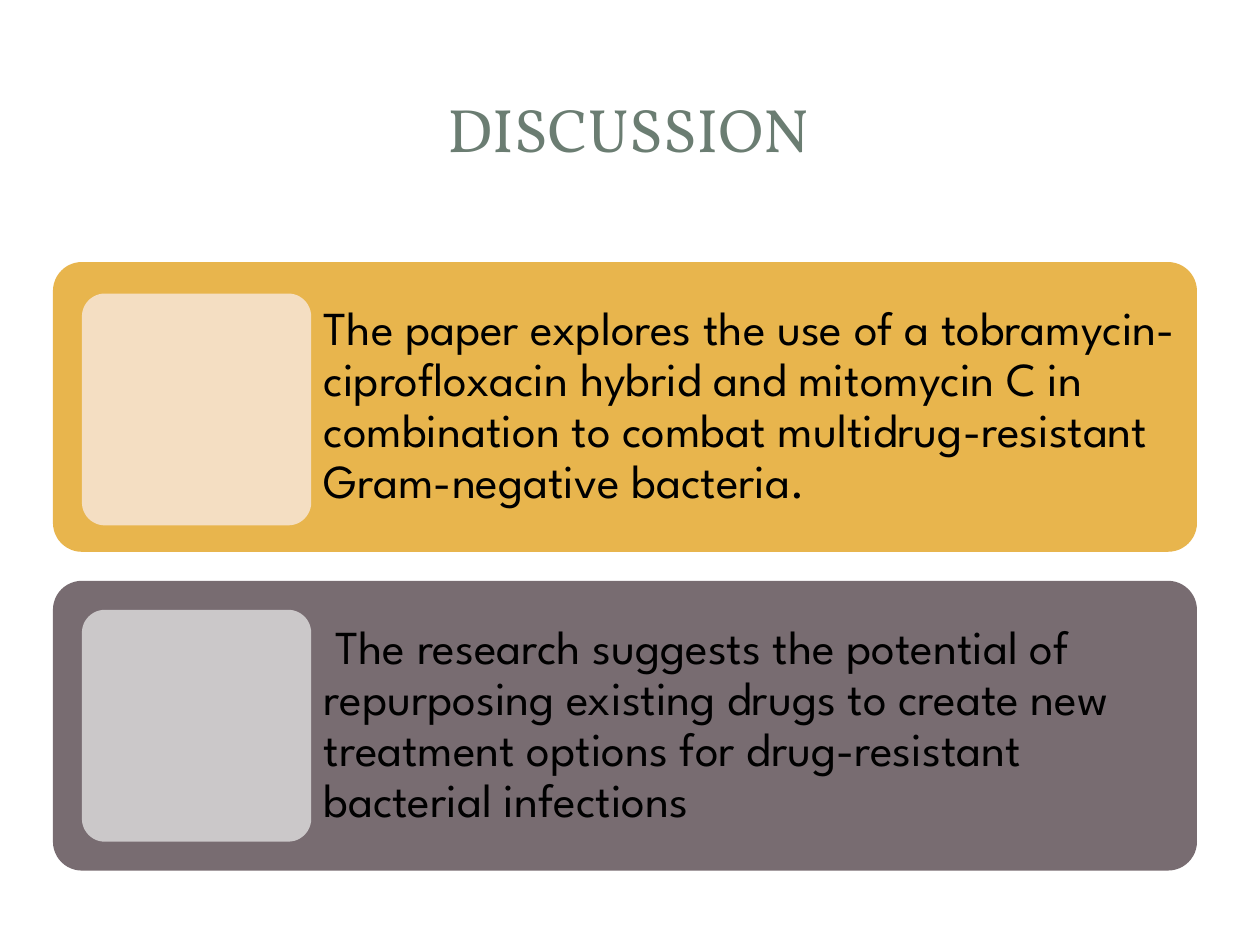
from pptx import Presentation
from pptx.dml.color import RGBColor
from pptx.enum.shapes import MSO_SHAPE as Shape
from pptx.enum.text import MSO_ANCHOR as Anchor, PP_ALIGN as Align
from pptx.util import Inches, Pt

COLORS = {
    "title": "6B7D72", "text": "000000",
    "gold": "E8B54D", "cream": "F4DEC2",
    "plum": "786C71", "silver": "CBC8C9",
}
TITLE = "DISCUSSION"
# text, band colour, tile colour, tile offset from the top of the band
POINTS = [
    ("The paper explores the use of a tobramycin-ciprofloxacin hybrid and "
     "mitomycin C in combination to combat multidrug-resistant "
     "Gram-negative bacteria.", "gold", "cream", 0.25),
    (" The research suggests the potential of repurposing existing drugs to "
     "create new treatment options for drug-resistant bacterial infections",
     "plum", "silver", 0.23),
]
BAND_LEFT, BAND_TOP, BAND_WIDTH, BAND_HEIGHT = 0.42, 2.08, 9.08, 2.3
BAND_STEP = 2.53
TILE_LEFT, TILE_WIDTH, TILE_HEIGHT = 0.65, 1.82, 1.84
TEXT_LEFT, TEXT_INSET = 2.46, 0.11


def add_rounded(page, box, color):
    shape = page.shapes.add_shape(Shape.ROUNDED_RECTANGLE, *map(Inches, box))
    shape.adjustments[0] = 0.1
    shape.shadow.inherit = False
    shape.fill.solid()
    shape.fill.fore_color.rgb = RGBColor.from_string(COLORS[color])
    shape.line.fill.background()


def style_text(frame, font, size, color, align):
    frame.word_wrap = True
    frame.vertical_anchor = Anchor.MIDDLE
    para = frame.paragraphs[0]
    para.alignment = align
    span = para.runs[0]
    span.font.name = font
    span.font.size = Pt(size)
    span.font.color.rgb = RGBColor.from_string(COLORS[color])


def add_point(page, top, text, band_color, tile_color, tile_offset):
    add_rounded(page, (BAND_LEFT, top, BAND_WIDTH, BAND_HEIGHT), band_color)
    text_width = BAND_LEFT + BAND_WIDTH - TEXT_LEFT
    box = page.shapes.add_textbox(
        *map(Inches, (TEXT_LEFT, top, text_width, BAND_HEIGHT)))
    frame = box.text_frame
    frame.text = text
    frame.margin_left = frame.margin_right = Inches(TEXT_INSET)
    frame.margin_top = frame.margin_bottom = Inches(TEXT_INSET)
    style_text(frame, "League Spartan", 27, "text", Align.LEFT)
    frame.paragraphs[0].line_spacing = 0.9
    add_rounded(page, (TILE_LEFT, top + tile_offset, TILE_WIDTH, TILE_HEIGHT),
                tile_color)


def main():
    deck = Presentation()
    deck.slide_width, deck.slide_height = Inches(10), Inches(7.5)
    page = deck.slides.add_slide(deck.slide_layouts[6])

    title = page.shapes.add_textbox(*map(Inches, (0.47, 0.45, 9.03, 1.14)))
    title.text_frame.text = TITLE
    style_text(title.text_frame, "Vollkorn", 35, "title", Align.CENTER)

    for index, point in enumerate(POINTS):
        add_point(page, BAND_TOP + index * BAND_STEP, *point)
    deck.save("out.pptx")


if __name__ == "__main__":
    main()
